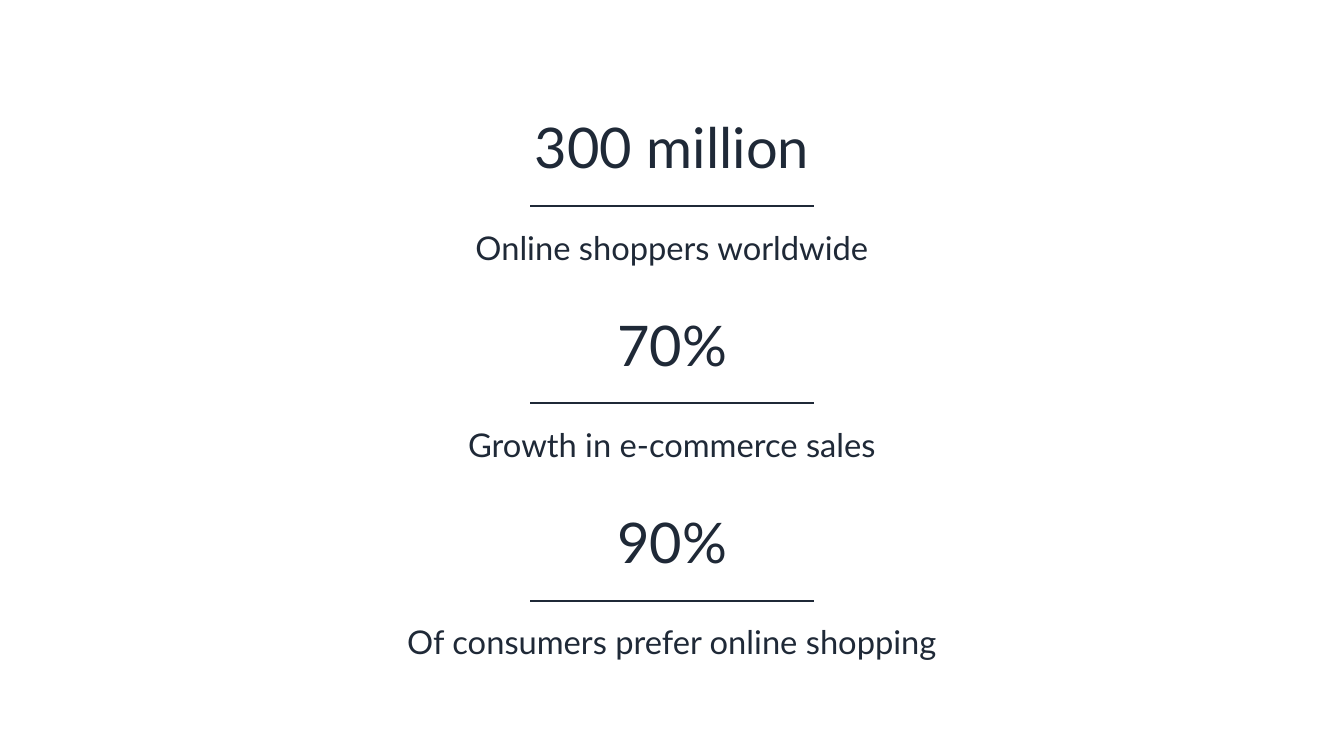
import pptx
import pptx.dml.color
import pptx.enum.shapes
import pptx.enum.text
import pptx.oxml.ns
import pptx.util
from lxml import etree

# Content: figure and caption
STATISTICS = [
    ("300 million", "Online shoppers worldwide"),
    ("70%", "Growth in e-commerce sales"),
    ("90%", "Of consumers prefer online shopping"),
]

INK = pptx.dml.color.RGBColor(0x1F, 0x29, 0x37)
WHITE = pptx.dml.color.RGBColor(0xFF, 0xFF, 0xFF)
FONT = "Lato"

# Layout in px, 96 to the inch
SLIDE_WIDTH, SLIDE_HEIGHT = 1920, 1080
TEXT_WIDTH, RULE_WIDTH = 1176, 405
FIRST_TOP, PITCH = 169, 282
FIGURE_HEIGHT, CAPTION_HEIGHT = 91, 57
RULE_OFFSET, CAPTION_OFFSET = 125, 156


def px(length):
    return pptx.util.Emu(round(length * 9525))


def add_text(shapes, text, top, height, size, line_spacing):
    left = (SLIDE_WIDTH - TEXT_WIDTH) / 2
    box = shapes.add_textbox(px(left), px(top), px(TEXT_WIDTH), px(height))
    frame = box.text_frame
    frame.margin_left = frame.margin_right = 0
    frame.margin_top = frame.margin_bottom = 0
    frame.word_wrap = True
    frame.auto_size = pptx.enum.text.MSO_AUTO_SIZE.SHAPE_TO_FIT_TEXT
    frame.text = text
    paragraph = frame.paragraphs[0]
    paragraph.alignment = pptx.enum.text.PP_ALIGN.CENTER
    paragraph.line_spacing = pptx.util.Pt(line_spacing)
    font = paragraph.runs[0].font
    font.name = FONT
    font.size = pptx.util.Pt(size)
    font.color.rgb = INK


def add_rule(shapes, y):
    left = (SLIDE_WIDTH - RULE_WIDTH) / 2
    rule = shapes.add_connector(
        pptx.enum.shapes.MSO_CONNECTOR.STRAIGHT,
        px(left + RULE_WIDTH), px(y), px(left), px(y))
    rule.line.color.rgb = INK
    rule.line.width = pptx.util.Pt(2)
    properties = rule._element.spPr
    etree.SubElement(properties, pptx.oxml.ns.qn("a:effectLst"))


presentation = pptx.Presentation()
presentation.slide_width = px(SLIDE_WIDTH)
presentation.slide_height = px(SLIDE_HEIGHT)
slide = presentation.slides.add_slide(presentation.slide_layouts[6])
slide.background.fill.solid()
slide.background.fill.fore_color.rgb = WHITE

# One group per statistic: rule, figure, caption
for index, (figure, caption) in enumerate(STATISTICS):
    top = FIRST_TOP + index * PITCH
    shapes = slide.shapes.add_group_shape().shapes
    add_rule(shapes, top + RULE_OFFSET)
    add_text(shapes, figure, top, FIGURE_HEIGHT, 60, 66)
    add_text(shapes, caption, top + CAPTION_OFFSET, CAPTION_HEIGHT, 35, 42)

presentation.save("out.pptx")
